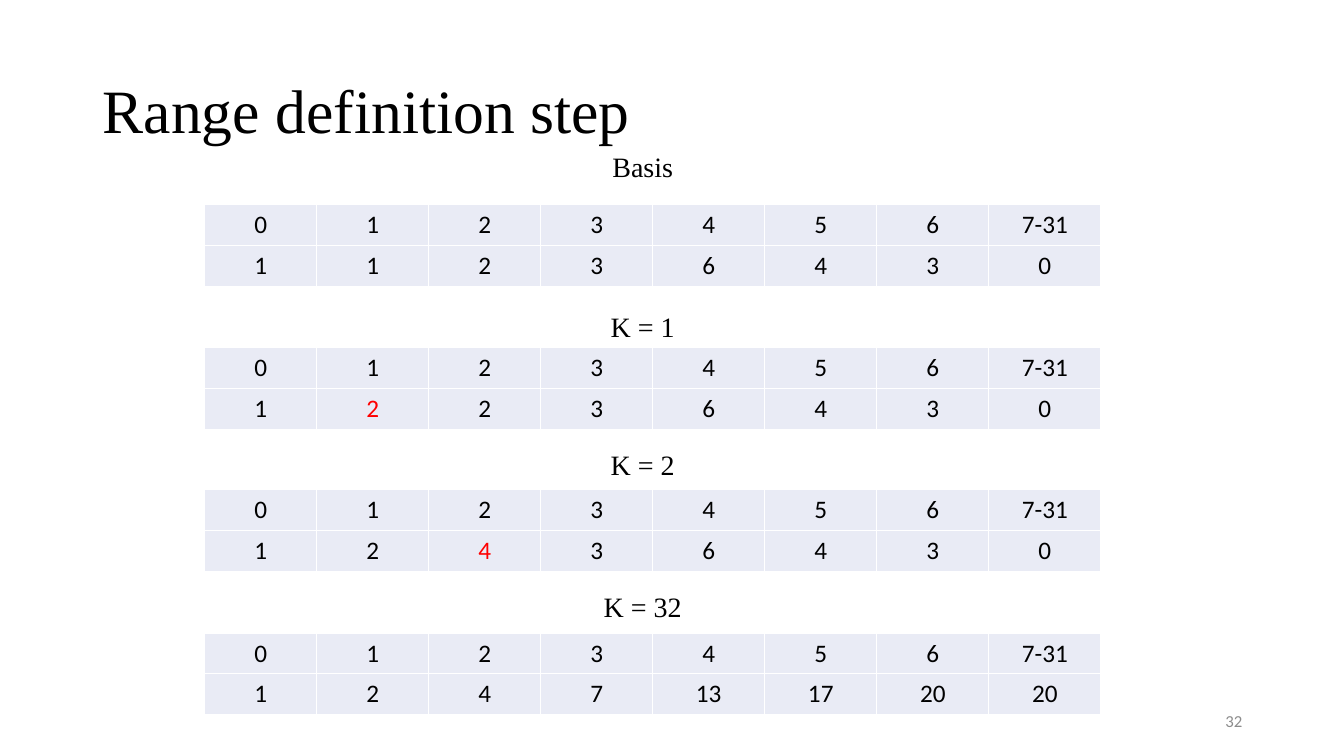
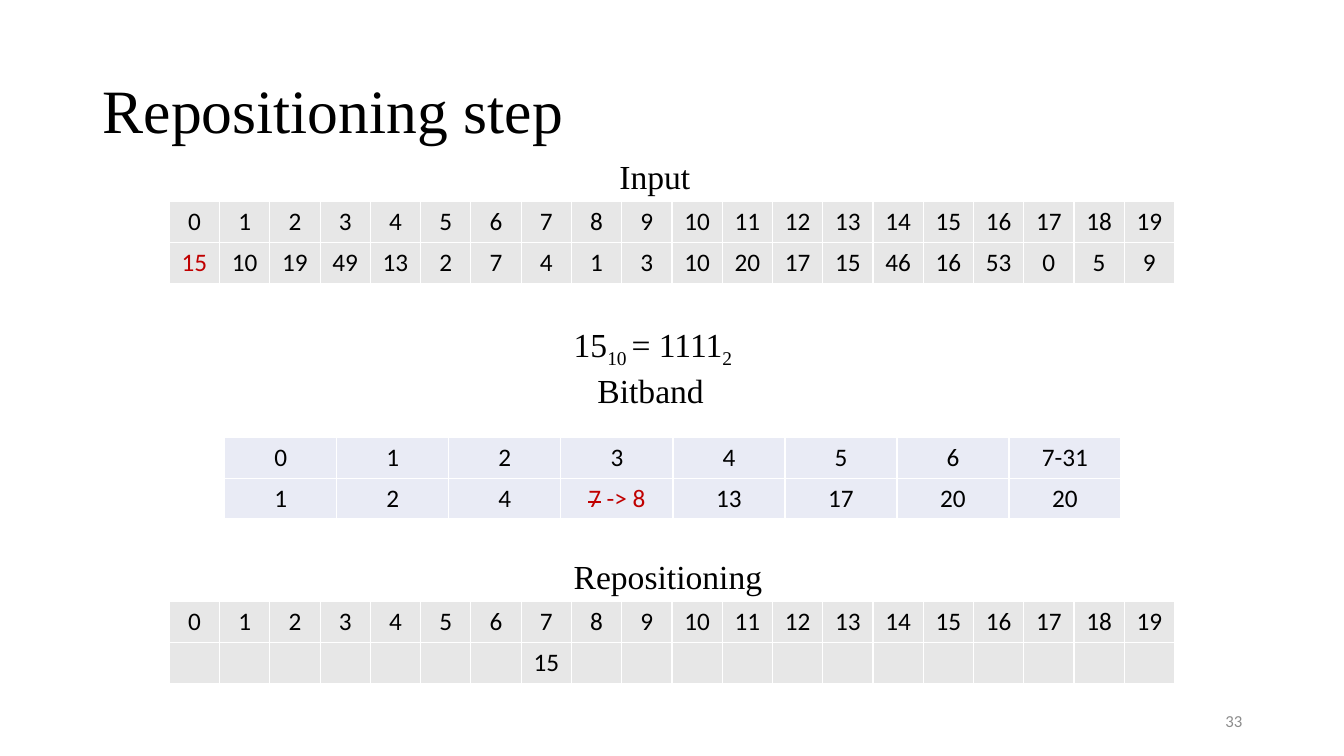
from dataclasses import dataclass
from pptx import Presentation
from pptx.dml.color import RGBColor as RGB
from pptx.enum.text import MSO_ANCHOR as Anchor, MSO_AUTO_SIZE as Fit, PP_ALIGN as Align
from pptx.util import Pt

PX = 9144


@dataclass(frozen=True)
class Theme:
    black: str = "000000"
    grey: str = "8C8C8C"
    red: str = "FF0000"
    dark: str = "C00000"
    blue: str = "E9EBF5"
    pale: str = "E7E7E7"
    serif: str = "Times New Roman"
    sans: str = "Calibri"
    head: int = 44
    large: int = 24
    label: int = 20
    cell: int = 18
    foot: int = 12


T = Theme()
SUB = {"baseline": "-25000"}
STRIKE = {"strike": "sngStrike"}

TITLE = (92, 40, 1150, 145)
FOOT = (942, 695, 300, 40)
HIGH = 81

BANDS = [0, 1, 2, 3, 4, 5, 6, "7-31"]
SPOTS = list(range(20))
INPUT = [15, 10, 19, 49, 13, 2, 7, 4, 1, 3, 10, 20, 17, 15, 46, 16, 53, 0, 5, 9]
MOVED = [15 if spot == 7 else "" for spot in SPOTS]
SHIFT = [("7", T.dark, STRIKE), (" -> 8", T.dark, {})]
SUM = [("15", T.black, {}), ("10 ", T.black, SUB),
       ("= 1111", T.black, {}), ("2 ", T.black, SUB)]

STEPS = [
    ("Basis", 143, 203, [1, 1, 2, 3, 6, 4, 3, 0], {}),
    ("K = 1", 302, 345, [1, 2, 2, 3, 6, 4, 3, 0], {1: T.red}),
    ("K = 2", 439, 486, [1, 2, 4, 3, 6, 4, 3, 0], {2: T.red}),
    ("K = 32", 580, 628, [1, 2, 4, 7, 13, 17, 20, 20], {}),
]

SLIDES = [
    {
        "title": "Range definition step",
        "page": 32,
        "size": T.label,
        "labels": [(name, (529, top, 217, 44), True) for name, top, *_ in STEPS],
        "tables": [((203, top, 889), T.blue, BANDS, row, marks)
                   for _, _, top, row, marks in STEPS],
    },
    {
        "title": "Repositioning step",
        "page": 33,
        "size": T.large,
        "labels": [
            ("Input", (551, 150, 197, 50), True),
            (SUM, (555, 316, 190, 50), False),
            ("Bitband ", (551, 362, 197, 50), True),
            ("Repositioning", (551, 547, 223, 50), True),
        ],
        "tables": [
            ((168, 200, 997), T.pale, SPOTS, INPUT, {0: T.dark}),
            ((223, 434, 889), T.blue, BANDS, [1, 2, 4, SHIFT, 13, 17, 20, 20], {}),
            ((168, 597, 997), T.pale, SPOTS, MOVED, {}),
        ],
    },
]


def emu(box):
    return [PX * part for part in box]


def write(frame, text, size, face, align, color=T.black):
    para = frame.paragraphs[0]
    para.alignment = align
    para.font.size = Pt(size)
    runs = text if isinstance(text, list) else [(str(text), color, {})]
    for words, tint, marks in runs:
        run = para.add_run()
        run.text = words
        for key, value in {"size": Pt(size), "name": face, "bold": False}.items():
            setattr(run.font, key, value)
        run.font.color.rgb = RGB.from_string(tint)
        for key, value in marks.items():
            run._r.get_or_add_rPr().set(key, value)
    return para


def shape(frame, **form):
    for key, value in form.items():
        setattr(frame, key, value)


def head(slide, text):
    title = slide.shapes.title
    for key, value in zip(("left", "top", "width", "height"), emu(TITLE)):
        setattr(title, key, value)
    frame = title.text_frame
    shape(frame, vertical_anchor=Anchor.MIDDLE, auto_size=Fit.NONE, word_wrap=True)
    write(frame, text, T.head, T.serif, Align.LEFT).line_spacing = 0.9


def foot(slide, page):
    frame = slide.shapes.add_textbox(*emu(FOOT)).text_frame
    shape(frame, vertical_anchor=Anchor.MIDDLE, word_wrap=True)
    write(frame, page, T.foot, T.sans, Align.RIGHT, T.grey)


def label(slide, text, box, wrap, size):
    frame = slide.shapes.add_textbox(*emu(box)).text_frame
    shape(frame, auto_size=Fit.SHAPE_TO_FIT_TEXT, word_wrap=wrap)
    write(frame, text, size, T.serif, Align.CENTER)


def table(slide, place, fill, keys, row, marks):
    grid = slide.shapes.add_table(2, len(keys), *emu((*place, HIGH))).table
    shape(grid, first_row=False, horz_banding=False)
    for line, (items, tints) in enumerate([(keys, {}), (row, marks)]):
        for col, item in enumerate(items):
            cell = grid.cell(line, col)
            cell.fill.solid()
            cell.fill.fore_color.rgb = RGB.from_string(fill)
            write(cell.text_frame, item, T.cell, T.sans, Align.CENTER,
                  tints.get(col, T.black))


def main():
    deck = Presentation()
    deck.slide_width, deck.slide_height = emu((1333, 750))
    for page in SLIDES:
        slide = deck.slides.add_slide(deck.slide_layouts[5])
        head(slide, page["title"])
        foot(slide, page["page"])
        for part in page["tables"]:
            table(slide, *part)
        for part in page["labels"]:
            label(slide, *part, page["size"])
    deck.save("out.pptx")


if __name__ == "__main__":
    main()
